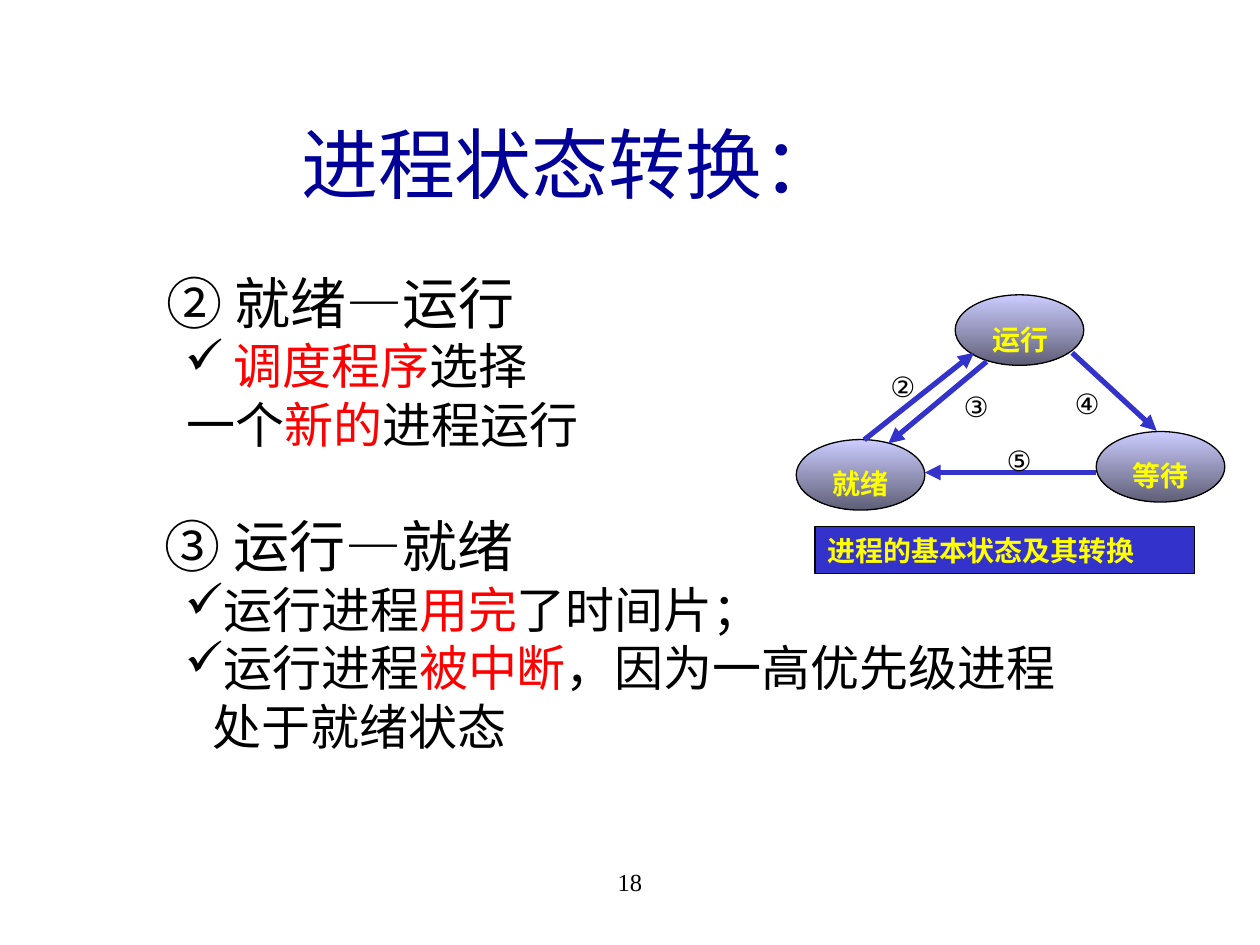
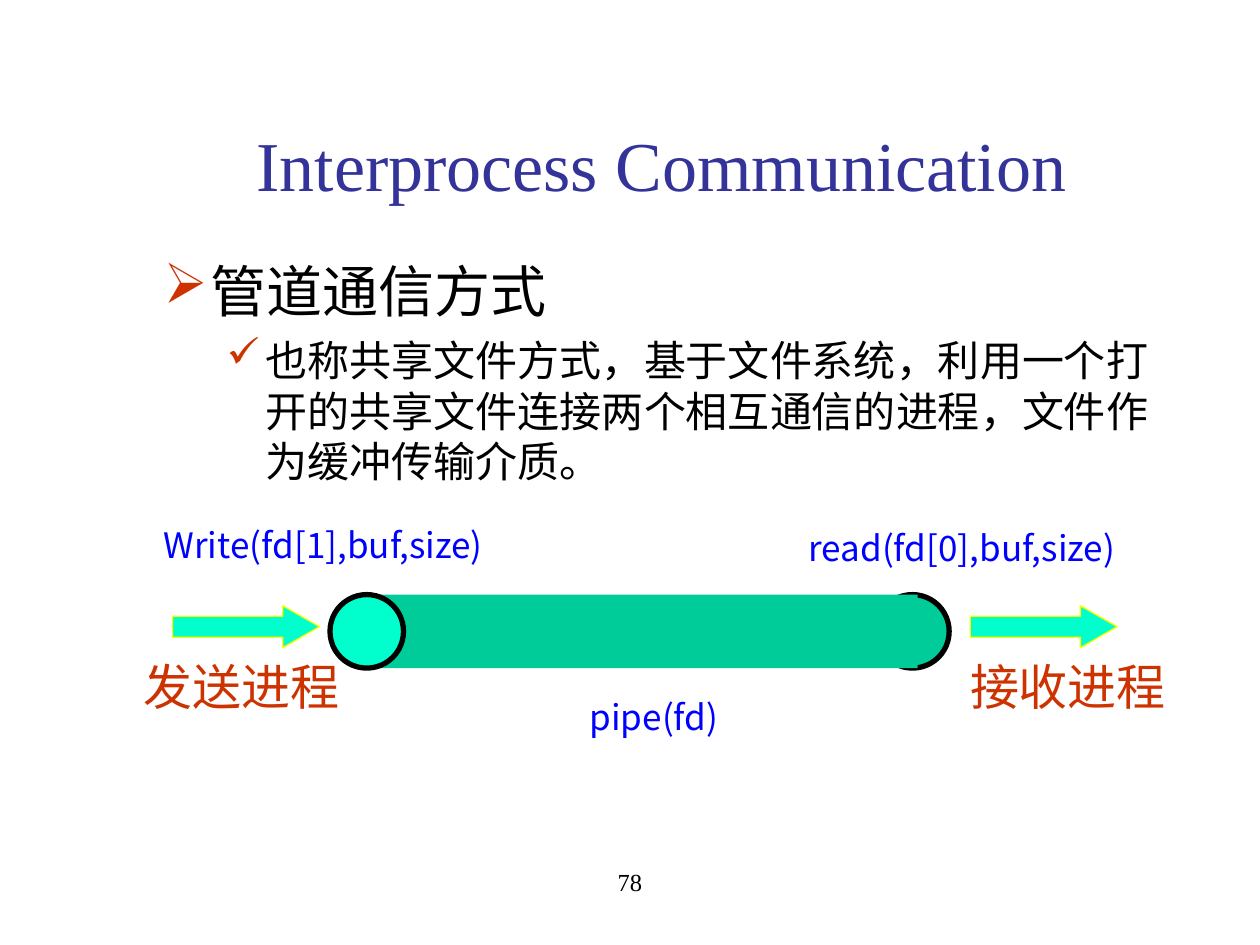
from lxml.etree import SubElement
from pptx import Presentation
from pptx.dml.color import RGBColor
from pptx.enum.shapes import MSO_CONNECTOR, MSO_SHAPE
from pptx.enum.text import MSO_ANCHOR, PP_ALIGN
from pptx.oxml.ns import qn
from pptx.util import Pt

BLACK = RGBColor(0x00, 0x00, 0x00)
RED = RGBColor(0xFF, 0x00, 0x00)
YELLOW = RGBColor(0xFF, 0xFF, 0x00)
BLUE = RGBColor(0x00, 0x00, 0xFF)
NAVY = RGBColor(0x00, 0x00, 0x99)
INDIGO = RGBColor(0x33, 0x33, 0x99)
ROYAL = RGBColor(0x33, 0x33, 0xCC)
RUST = RGBColor(0xCC, 0x33, 0x00)
LAVENDER = RGBColor(0xCC, 0xCC, 0xFF)
SLATE = RGBColor(0x5E, 0x5E, 0x76)
GREEN = RGBColor(0x00, 0xCC, 0x99)
AQUA = RGBColor(0x00, 0xFF, 0xCC)

SANS = "Noto Sans CJK SC"
SERIF = "Times New Roman"
ARIAL = "Arial"
LINE_HEIGHT = 1.2


# Text
def add_span(para, text, size, color=BLACK, font=SANS, bold=False):
    span = para.add_run()
    span.text = text
    span.font.size = Pt(size)
    span.font.bold = bold
    span.font.color.rgb = color
    span.font.name = font
    east_asian = SubElement(span._r.get_or_add_rPr(), qn("a:ea"))
    east_asian.set("typeface", SANS)


def add_box(page, left, top, width, height, anchor=MSO_ANCHOR.TOP, wrap=True):
    box = page.shapes.add_textbox(Pt(left), Pt(top), Pt(width), Pt(height))
    box.text_frame.word_wrap = wrap
    box.text_frame.vertical_anchor = anchor
    return box.text_frame


def add_label(page, place, text, size, color=BLACK, font=SANS, bold=False,
              align=PP_ALIGN.LEFT, anchor=MSO_ANCHOR.TOP, wrap=True):
    para = add_box(page, *place, anchor, wrap).paragraphs[0]
    para.alignment = align
    add_span(para, text, size, color, font, bold)


def format_para(para, size, margin, indent=0, before=0, bullet=None, bullet_color=BLACK):
    properties = para._p.get_or_add_pPr()
    properties.set("marL", str(Pt(margin)))
    properties.set("indent", str(Pt(indent)))
    if bullet:
        color = SubElement(SubElement(properties, qn("a:buClr")), qn("a:srgbClr"))
        color.set("val", str(bullet_color))
        SubElement(properties, qn("a:buChar")).set("char", bullet)
    para.line_spacing = Pt(size * LINE_HEIGHT)
    if before:
        para.space_before = Pt(before)


def add_paras(frame, paras):
    """Each entry holds the size, the paragraph format and the spans."""
    for index, (size, layout, spans) in enumerate(paras):
        para = frame.add_paragraph() if index else frame.paragraphs[0]
        format_para(para, size, **layout)
        for text, color, font in spans:
            add_span(para, text, size, color, font)


# Shapes
def add_figure(page, kind, place, fill, line=None, line_width=0.75):
    figure = page.shapes.add_shape(kind, *(Pt(length) for length in place))
    figure.shadow.inherit = False
    figure.fill.solid()
    figure.fill.fore_color.rgb = fill
    if line is None:
        figure.line.fill.background()
    else:
        figure.line.color.rgb = line
        figure.line.width = Pt(line_width)
    return figure


def add_state(page, left, top, name, label_left, label_top):
    state = add_figure(page, MSO_SHAPE.OVAL, (left, top, 73.5, 40.3), LAVENDER, BLACK)
    state.fill.gradient()
    state.fill.gradient_angle = 270
    for stop, color in zip(state.fill.gradient_stops, (LAVENDER, SLATE)):
        stop.color.rgb = color
    add_label(page, (label_left, label_top, 49, 26.6), name, 16, YELLOW, SERIF, bold=True)


def add_transition(page, start, end):
    arrow = page.shapes.add_connector(
        MSO_CONNECTOR.STRAIGHT, *(Pt(length) for length in start + end))
    arrow.line.color.rgb = ROYAL
    arrow.line.width = Pt(3)
    SubElement(arrow.line._get_or_add_ln(), qn("a:tailEnd")).set("type", "triangle")
    SubElement(arrow._element.spPr, qn("a:effectLst"))


def add_flow_arrow(page, left):
    arrow = add_figure(page, MSO_SHAPE.RIGHT_ARROW, (left, 346.1, 84, 24), AQUA, YELLOW)
    arrow.adjustments[0] = 0.5
    arrow.adjustments[1] = 0.875


# Pages
def add_page(deck, number, title, title_place, size, color, font):
    page = deck.slides.add_slide(deck.slide_layouts[6])
    add_label(page, (246, 492, 228, 36), number, 14, font=SERIF, align=PP_ALIGN.CENTER)
    add_label(page, title_place, title, size, color, font,
              align=PP_ALIGN.CENTER, anchor=MSO_ANCHOR.MIDDLE)
    return page


def add_state_page(deck):
    page = add_page(deck, "18", "进程状态转换：", (90.7, 62.6, 470.9, 60.5), 44, NAVY, SANS)

    heading = {"margin": 7.2}
    check = {"margin": 34, "indent": -16, "bullet": "✓"}
    spaced_check = {"margin": 46, "indent": -28, "bullet": "✓"}
    add_paras(add_box(page, 80.6, 149.8, 540.7, 285.8), [
        (32, heading, [("②", BLACK, ARIAL), (" 就绪—运行", BLACK, SANS)]),
        (28, spaced_check, [("调度程序", RED, SANS), ("选择", BLACK, SANS)]),
        (28, {"margin": 19}, [("一个", BLACK, SANS), ("新的", RED, SANS),
                              ("进程运行", BLACK, SANS)]),
        (32, {"margin": 6.3, "before": 33.6}, [("③", BLACK, ARIAL),
                                               (" 运行—就绪", BLACK, SANS)]),
        (28, check, [("运行进程", BLACK, SANS), ("用完", RED, SANS),
                     ("了时间片；", BLACK, SANS)]),
        (28, check, [("运行进程", BLACK, SANS), ("被中断", RED, SANS),
                     ("，因为一高优先级进程处于就绪状态", BLACK, SANS)]),
    ])

    # State diagram
    for state in [(455, 251.2, "就绪", 468.7, 262.8),
                  (545.8, 168.5, "运行", 560.2, 180.7),
                  (626.4, 246.6, "等待", 640.1, 258.5)]:
        add_state(page, *state)
    for start, end in [((493.9, 251.3), (556.6, 201.6)),
                       ((563.8, 206.6), (507.6, 253.4)),
                       ((626.4, 270), (528.5, 270)),
                       ((612.7, 201.6), (661, 246.2))]:
        add_transition(page, start, end)
    for mark, left, top in [("②", 501.8, 207.4), ("③", 543.6, 218.9),
                            ("④", 607, 217.4), ("⑤", 568.1, 249.8)]:
        add_label(page, (left, top, 28.8, 26.6), mark, 16, font=ARIAL, wrap=False)

    caption = add_figure(page, MSO_SHAPE.RECTANGLE, (465.8, 301, 216.7, 26.6), ROYAL, BLACK)
    para = caption.text_frame.paragraphs[0]
    para.alignment = PP_ALIGN.LEFT
    add_span(para, "进程的基本状态及其转换", 16, YELLOW, bold=True)


def add_pipe_page(deck):
    page = add_page(deck, "78", "Interprocess Communication", (72, 48.2, 612, 90),
                    40, INDIGO, SERIF)
    add_paras(add_box(page, 86.4, 143.3, 594, 343.4), [
        (32, {"margin": 27, "indent": -27, "bullet": "➢", "bullet_color": RUST},
         [("管道通信方式", BLACK, SERIF)]),
        (24, {"margin": 58.5, "indent": -22.5, "before": 6, "bullet": "✓",
              "bullet_color": RUST},
         [("也称共享文件方式，基于文件系统，利用一个打开的共享文件连接两个相互通信的进程，"
           "文件作为缓冲传输介质。", BLACK, SERIF)]),
    ])

    # Pipe: far end, body, near end
    pipe_top, diameter = 339.8, 42
    add_figure(page, MSO_SHAPE.OVAL, (500.4, pipe_top, diameter, diameter), GREEN, BLACK, 3)
    add_figure(page, MSO_SHAPE.RECTANGLE, (212.4, pipe_top, 312, diameter), GREEN)
    add_figure(page, MSO_SHAPE.OVAL, (188.6, pipe_top, diameter, diameter), AQUA, BLACK, 3)

    # Sender and receiver
    for name, name_left, arrow_left in [("发送进程", 74.9, 98.6), ("接收进程", 547.2, 554.4)]:
        add_label(page, (name_left, 371.5, 126, 41), name, 28, RUST, SERIF, wrap=False)
        add_flow_arrow(page, arrow_left)

    # System calls
    for call, place in [("pipe(fd)", (329.8, 393.1, 121, 31.7)),
                        ("Write(fd[1],buf,size)", (86.4, 271.4, 232.6, 55.4)),
                        ("read(fd[0],buf,size)", (455, 272.9, 232.6, 55.4))]:
        add_label(page, place, call, 20, BLUE, anchor=MSO_ANCHOR.BOTTOM)


def main():
    deck = Presentation()
    deck.slide_width, deck.slide_height = Pt(720), Pt(540)
    add_state_page(deck)
    add_pipe_page(deck)
    deck.save("out.pptx")


if __name__ == "__main__":
    main()
